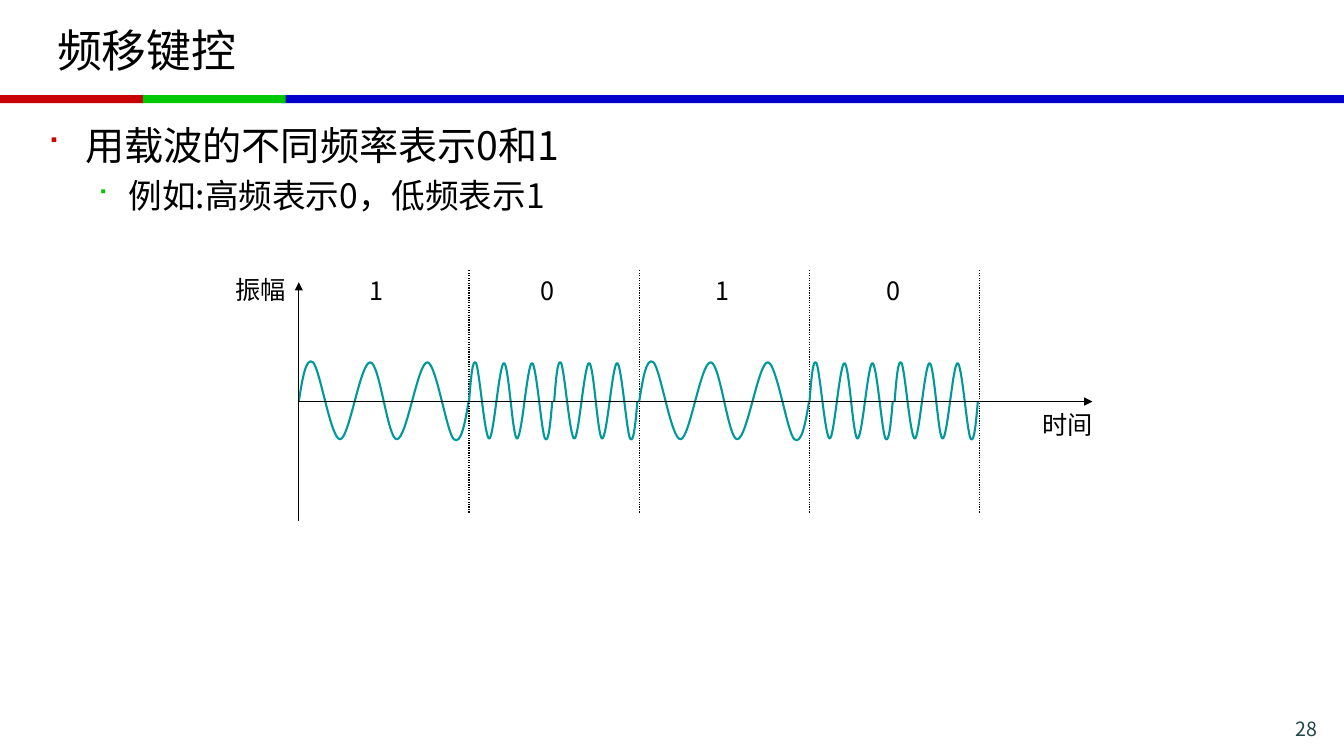
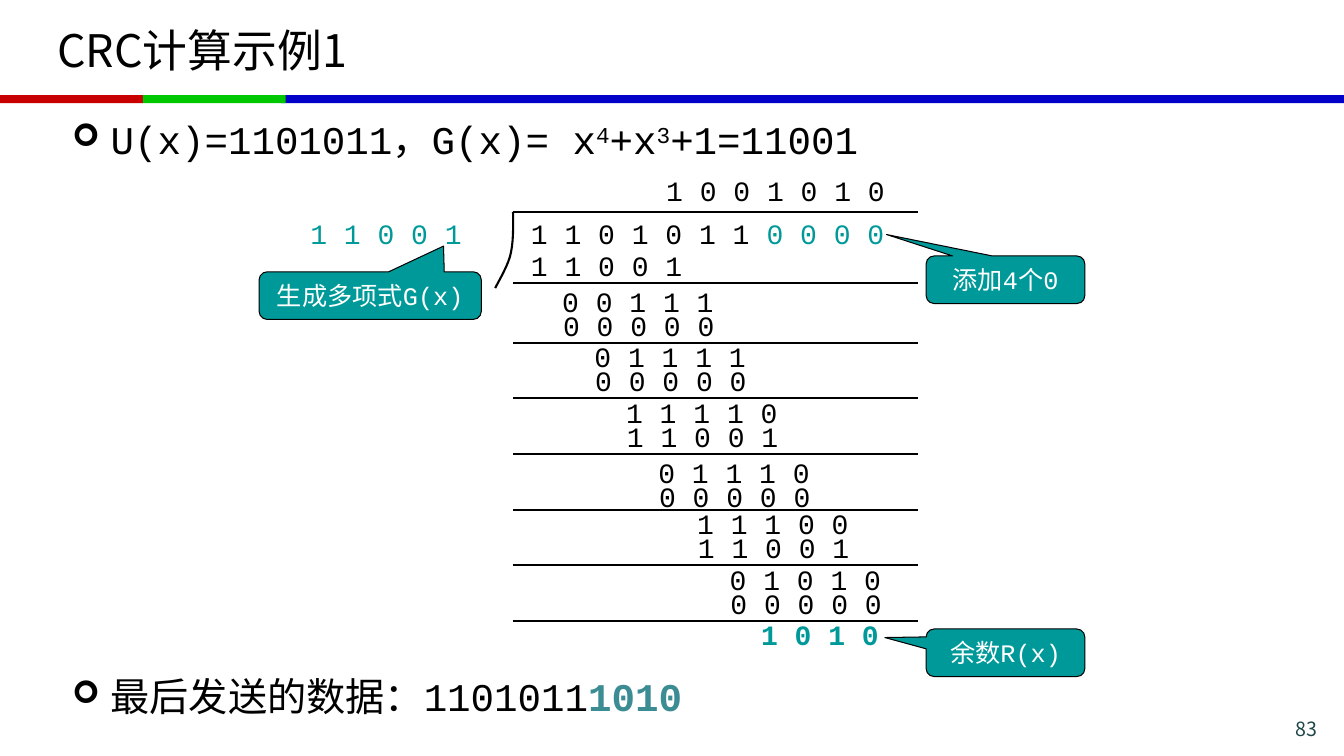
import dataclasses
import pptx
import pptx.dml.color
import pptx.enum.dml
import pptx.enum.shapes
import pptx.enum.text
import pptx.oxml
import pptx.oxml.ns
import pptx.util

Cm, Pt = pptx.util.Cm, pptx.util.Pt
ALIGN = pptx.enum.text.PP_ALIGN
SHAPE = pptx.enum.shapes.MSO_SHAPE


@dataclasses.dataclass(frozen=True)
class Theme:
    sans: str = "Noto Sans CJK SC"
    mono: str = "Courier New"
    marks: str = "Wingdings"
    black: str = "000000"
    white: str = "FFFFFF"
    red: str = "C80000"
    green: str = "00C800"
    blue: str = "0000C8"
    teal: str = "009999"
    pale: str = "3C8C93"
    slate: str = "1E4649"
    title: int = 32
    body: int = 28
    sub: int = 24
    digit: int = 20
    label: int = 18
    page: int = 14


T = Theme()

# Shared bands: left, width, colour
BANDS = [(7.09, 26.78, T.blue), (0, 3.6, T.red), (3.6, 3.6, T.green)]

# Content: frequency shift keying
FSK = {"title": "频移键控", "page": "28"}
POINTS = [  # text, size, mark colour, left, hang
    ("用载波的不同频率表示0和1", T.body, T.red, 0.97, 0.97),
    ("例如:高频表示0，低频表示1", T.sub, T.green, 2.06, 0.79),
]
BITS = "1010"
LABELS = [  # text, left, top, width
    ("振幅", 5.94, 6.91, 1.28), ("时间", 26.27, 10.31, 1.28),
    ("1", 9.32, 6.93, 0.36), ("0", 13.61, 6.93, 0.36),
    ("1", 18.03, 6.93, 0.36), ("0", 22.33, 6.93, 0.36),
]
# Bezier points of three periods, as offsets from the start on the axis
WAVE = [
    (0, 0), (0.09, -0.57), (0.18, -1.14), (0.36, -0.99),
    (0.54, -0.8), (0.81, 0.95), (1.04, 0.95), (1.27, 0.95),
    (1.55, -0.99), (1.8, -0.99), (2.04, -0.99), (2.24, 0.95),
    (2.47, 0.95), (2.72, 0.95), (3, -0.99), (3.24, -0.99),
    (3.46, -0.99), (3.73, 0.8), (3.91, 0.95), (4.09, 1.1),
    (4.19, 0.53), (4.28, 0),
]
# Width and height factors of the waves in one slot
PACE = {"1": [(1, 1)], "0": [(0.49, 0.98)] * 2}

# Content: CRC long division
CRC = {"title": "CRC计算示例1", "page": "83"}
RAISED = {"base": 30000}
CLAIMS = [  # top, width, runs
    (2.79, 23.72, [("U(x)=1101011，G(x)= x", {}), ("4", RAISED), ("+x", {}),
                   ("3", RAISED), ("+1=11001", {})]),
    (16.81, 17.02, [("最后发送的数据：1101011", {}),
                    ("1010", {"color": T.pale, "bold": True})]),
]
HEADS = [  # left, top, runs
    (7.57, 5.34, [("11001", {"color": T.teal})]),
    (13.13, 5.34, [("1101011", {}), ("0000", {"color": T.teal})]),
    (13.13, 6.14, [("11001", {})]),
    (16.54, 4.24, [("1001010", {})]),
    (18.93, 15.44, [("1010", {"color": T.teal, "bold": True})]),
]
STEPS = [  # left, top, dividend, product
    (13.92, 7.04, "00111", "00000"),
    (14.73, 8.43, "01111", "00000"),
    (15.53, 9.85, "11110", "11001"),
    (16.34, 11.35, "01110", "00000"),
    (17.32, 12.65, "11100", "11001"),
    (18.14, 14.05, "01010", "00000"),
]
HOOK = [(12.93, 5.34), (12.93, 5.51), (12.95, 6.02), (12.88, 6.35),
        (12.83, 6.65), (12.58, 7.06), (12.48, 7.26)]
NOTES = [  # text, left, top, width, pointer
    ("生成多项式G(x)", 6.53, 6.85, 5.6, (0.33, -1.04)),
    ("添加4个0", 23.34, 6.45, 4, (-0.75, -0.95)),
    ("余数R(x)", 23.34, 15.85, 4, (-0.76, -0.32)),
]


# Helpers
def rgb(code):
    return pptx.dml.color.RGBColor.from_string(code)


def node(home, tag, **attrs):
    item = pptx.oxml.parse_xml(
        f"<a:{tag} {pptx.oxml.ns.nsdecls('a')}/>")
    for key, val in attrs.items():
        item.set(key, val)
    home.append(item)
    return item


def add_run(para, text, size, font=T.sans, color=T.black, bold=False, base=0):
    run = para.add_run()
    run.text = text
    run.font.size, run.font.bold, run.font.name = Pt(size), bold, font
    run.font.color.rgb = rgb(color)
    props = run.font._element
    node(props, "ea", typeface=T.sans)
    if base:
        props.set("baseline", str(base))


def add_box(slide, x, y, w, h, inset=True, mid=False):
    frame = slide.shapes.add_textbox(Cm(x), Cm(y), Cm(w), Cm(h)).text_frame
    frame.word_wrap = True
    if mid:
        frame.vertical_anchor = pptx.enum.text.MSO_ANCHOR.MIDDLE
    if not inset:
        frame.margin_left = frame.margin_right = 0
        frame.margin_top = frame.margin_bottom = 0
    return frame


def bullet(para, mark, color, left, hang):
    props = para._p.get_or_add_pPr()
    props.set("marL", str(Cm(left)))
    props.set("indent", str(-Cm(hang)))
    node(node(props, "buClr"), "srgbClr", val=color)
    node(props, "buSzPct", val="80000")
    node(props, "buFont", typeface=T.marks)
    node(props, "buChar", char=mark)


def add_line(slide, start, end, width, dash=False, arrow=False):
    kind = pptx.enum.shapes.MSO_CONNECTOR.STRAIGHT
    line = slide.shapes.add_connector(
        kind, *(Cm(v) for v in (*start, *end)))
    line.line.width, line.line.color.rgb = Pt(width), rgb(T.black)
    if dash:
        line.line.dash_style = pptx.enum.dml.MSO_LINE.ROUND_DOT
    if arrow:
        node(line.line._get_or_add_ln(), "tailEnd", type="triangle")
    node(line._element.spPr, "effectLst")


def add_curve(slide, knots, color):
    first, *rest = [(Cm(x), Cm(y)) for x, y in knots]
    pen = slide.shapes.build_freeform(*first)
    pen.add_line_segments(rest, close=False)
    curve = pen.convert_to_shape()
    # Join every three points into one Bezier segment
    legs = list(curve._element.iter(pptx.oxml.ns.qn("a:lnTo")))
    track = legs[0].getparent()
    for i in range(0, len(legs), 3):
        bend = node(track, "cubicBezTo")
        for leg in legs[i:i + 3]:
            bend.append(leg[0])
            track.remove(leg)
    curve.shadow.inherit = False
    curve.fill.background()
    curve.line.width, curve.line.color.rgb = Pt(1.5), rgb(color)


def add_shape(slide, kind, x, y, w, h, color):
    shape = slide.shapes.add_shape(kind, Cm(x), Cm(y), Cm(w), Cm(h))
    shape.shadow.inherit = False
    shape.fill.solid()
    shape.fill.fore_color.rgb = rgb(color)
    shape.line.fill.background()
    return shape


def new_slide(deck, info):
    slide = deck.slides.add_slide(deck.slide_layouts[6])
    for x, w, color in BANDS:
        add_shape(slide, SHAPE.RECTANGLE, x, 2.4, w, 0.2, color)
    head = add_box(slide, 1.19, 0.18, 31.47, 2.13, mid=True)
    add_run(head.paragraphs[0], info["title"], T.title)
    foot = add_box(slide, 30.12, 17.93, 3.32, 0.71).paragraphs[0]
    foot.alignment = ALIGN.RIGHT
    add_run(foot, info["page"], T.page, color=T.slate)
    return slide


# Slides
def draw_fsk(deck):
    slide = new_slide(deck, FSK)
    frame = add_box(slide, 0.93, 2.92, 32, 3.78)
    for i, (text, size, color, left, hang) in enumerate(POINTS):
        para = frame.add_paragraph() if i else frame.paragraphs[0]
        if i:
            para.space_before = Pt(5)
        bullet(para, "■", color, left, hang)
        add_run(para, text, size)

    # One slot per bit: slow wave for 1, two fast halves for 0
    x0, axis, slot = 7.53, 10.12, 4.29
    for i, bit in enumerate(BITS):
        left = x0 + i * slot
        pace = PACE[bit]
        for n, (wide, high) in enumerate(pace):
            start = left + n * slot / len(pace)
            add_curve(slide, [(start + x * wide, axis + y * high)
                              for x, y in WAVE], T.teal)
        edge = left + slot
        add_line(slide, (edge, 6.81), (edge, 12.93), 0.88, dash=True)
    for text, x, y, w in LABELS:
        frame = add_box(slide, x, y, w, 0.76, inset=False)
        add_run(frame.paragraphs[0], text, T.label)
    add_line(slide, (x0, 13.13), (x0, 7.11), 1, arrow=True)
    add_line(slide, (x0, axis), (27.53, axis), 1, arrow=True)


def add_bits(slide, x, y, runs):
    count = sum(len(bits) for bits, _ in runs)
    para = add_box(slide, x, y, 0.86 * count + 0.1, 1.12).paragraphs[0]
    for i, (bits, style) in enumerate(runs):
        gap = " " if i < len(runs) - 1 else ""
        add_run(para, " ".join(bits) + gap, T.digit, T.mono, **style)


def draw_crc(deck):
    slide = new_slide(deck, CRC)
    for y, w, runs in CLAIMS:
        para = add_box(slide, 1.57, y, w, 1.45).paragraphs[0]
        bullet(para, "➢", T.black, 0.97, 0.97)
        for text, style in runs:
            add_run(para, text, T.body, T.mono, **style)

    # Division digits and rules
    for x, y, runs in HEADS:
        add_bits(slide, x, y, runs)
    for x, y, *rows in STEPS:
        for n, bits in enumerate(rows):
            add_bits(slide, x + n * 0.02, y + n * 0.6, [(bits, {})])
    add_curve(slide, HOOK, T.black)
    for y in [5.34, 7.14] + [8.64 + 1.4 * i for i in range(len(STEPS))]:
        add_line(slide, (12.93, y), (23.14, y), 1.5)

    # Callouts
    for text, x, y, w, tip in NOTES:
        note = add_shape(slide, SHAPE.ROUNDED_RECTANGULAR_CALLOUT,
                         x, y, w, 1.2, T.teal)
        for i, val in enumerate((*tip, 0.17)):
            note.adjustments[i] = val
        note.line.width, note.line.color.rgb = Pt(0.75), rgb(T.black)
        frame = note.text_frame
        frame.word_wrap = False
        frame.vertical_anchor = pptx.enum.text.MSO_ANCHOR.MIDDLE
        frame.paragraphs[0].alignment = ALIGN.CENTER
        add_run(frame.paragraphs[0], text, T.label, T.mono, T.white)


def main():
    deck = pptx.Presentation()
    deck.slide_width, deck.slide_height = Cm(33.87), Cm(19.05)
    draw_fsk(deck)
    draw_crc(deck)
    deck.save("out.pptx")


if __name__ == "__main__":
    main()
